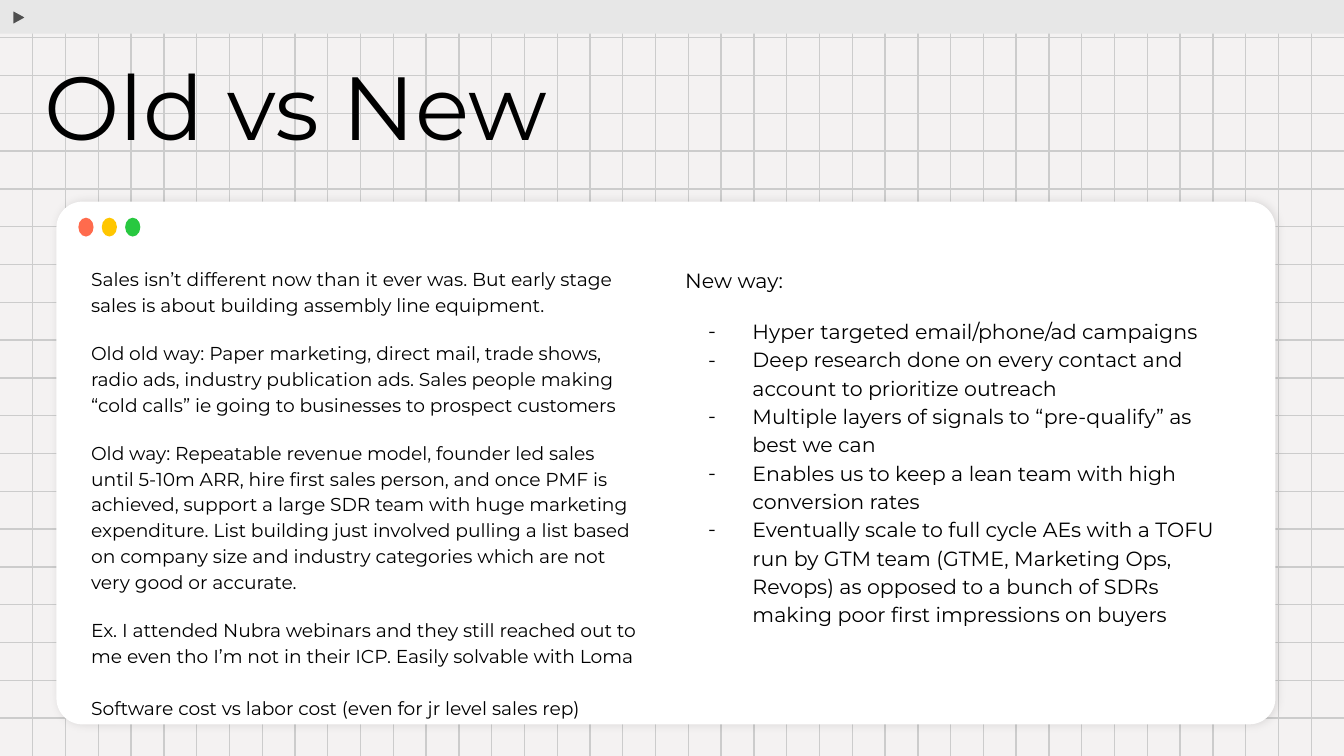
import lxml.etree
import pptx
import pptx.dml.color
import pptx.enum.shapes
import pptx.enum.text
import pptx.oxml.ns
import pptx.util

SHAPE = pptx.enum.shapes.MSO_SHAPE
COLUMNS, ROWS = 41, 20


def rgb(value):
    return pptx.dml.color.RGBColor.from_string(value)


def add_xml(parent, tag, **attrs):
    node = lxml.etree.SubElement(parent, pptx.oxml.ns.qn(tag))
    for name, value in attrs.items():
        node.set(name, str(value))
    return node


class Deck:
    """Style and current slide; positions are in square cells, 100 across the slide."""

    font = "Montserrat"
    ink = "000000"
    paper = "F4F2F2"
    rule = "CCCCCC"
    bar = "E7E7E7"

    def __init__(self, prs):
        self.prs = prs
        self.s = prs.slides.add_slide(prs.slide_layouts[6])
        self.s.background.fill.solid()
        self.s.background.fill.fore_color.rgb = rgb(self.paper)

    def cells(self, *values):
        return [round(v * self.prs.slide_width / 100) for v in values]

    def line(self, x1, y1, x2, y2):
        w, h = self.prs.slide_width, self.prs.slide_height
        ends = [round(v) for v in (x1 * w, y1 * h, x2 * w, y2 * h)]
        c = self.s.shapes.add_connector(pptx.enum.shapes.MSO_CONNECTOR.STRAIGHT, *ends)
        c.line.color.rgb = rgb(self.rule)
        c.line.width = pptx.util.Pt(0.75)
        add_xml(c._element.spPr, "a:effectLst")

    def grid(self):
        for row in range(1, ROWS):
            self.line(0, row / ROWS, 1, row / ROWS)
        for column in range(1, COLUMNS):
            self.line(column / COLUMNS, 0, column / COLUMNS, 1)

    def shape(self, kind, at, fill, line=None):
        sp = self.s.shapes.add_shape(kind, *self.cells(*at))
        sp.shadow.inherit = False
        sp.fill.solid()
        sp.fill.fore_color.rgb = rgb(fill)
        if line:
            sp.line.color.rgb = rgb(line)
            sp.line.width = pptx.util.Pt(0.75)
        else:
            sp.line.fill.background()
        return sp

    def card(self, at):
        sp = self.shape(SHAPE.ROUNDED_RECTANGLE, at, "FFFFFF")
        sp.adjustments[0] = 0.05
        effects = sp._element.spPr.find(pptx.oxml.ns.qn("a:effectLst"))
        shadow = add_xml(effects, "a:outerShdw", blurRad=pptx.util.Pt(4.5),
                         dist=pptx.util.Pt(1.5), dir=0, algn="bl", rotWithShape=0)
        add_xml(add_xml(shadow, "a:srgbClr", val=self.ink), "a:alpha", val=11000)

    def text(self, at, size, paragraphs, spacing=1.15):
        tf = self.s.shapes.add_textbox(*self.cells(*at)).text_frame
        tf.word_wrap = True
        tf.vertical_anchor = pptx.enum.text.MSO_ANCHOR.TOP
        tf.margin_left = tf.margin_right = pptx.util.Inches(0.1)
        tf.margin_top = tf.margin_bottom = pptx.util.Inches(0.1)
        for i, (words, before, bulleted) in enumerate(paragraphs):
            p = tf.add_paragraph() if i else tf.paragraphs[0]
            p.line_spacing = spacing
            p.space_before = pptx.util.Pt(before)
            if bulleted:
                self.bullet(p)
            r = p.add_run()
            r.text = words
            r.font.name = self.font
            r.font.size = pptx.util.Pt(size)
            r.font.color.rgb = rgb(self.ink)

    def bullet(self, p):
        pPr = p._p.get_or_add_pPr()
        pPr.set("marL", str(pptx.util.Inches(0.5)))
        pPr.set("indent", str(pptx.util.Inches(-0.33)))
        add_xml(add_xml(pPr, "a:buClr"), "a:srgbClr", val=self.ink)
        add_xml(pPr, "a:buFont", typeface=self.font)
        add_xml(pPr, "a:buChar", char="-")


OLD_WAY = [
    ("Sales isn’t different now than it ever was. But early stage sales is about "
     "building assembly line equipment.", 12, False),
    ("Old old way: Paper marketing, direct mail, trade shows, radio ads, industry "
     "publication ads. Sales people making “cold calls” ie going to businesses to "
     "prospect customers", 12, False),
    ("Old way: Repeatable revenue model, founder led sales until 5-10m ARR, hire first "
     "sales person, and once PMF is achieved, support a large SDR team with huge "
     "marketing expenditure. List building just involved pulling a list based on "
     "company size and industry categories which are not very good or accurate.",
     12, False),
    ("Ex. I attended Nubra webinars and they still reached out to me even tho I’m not "
     "in their ICP. Easily solvable with Loma", 12, False),
    ("Software cost vs labor cost (even for jr level sales rep)", 14, False),
]
NEW_WAY = [
    ("New way:", 12, False),
    ("Hyper targeted email/phone/ad campaigns", 12, True),
    ("Deep research done on every contact and account to prioritize outreach", 0, True),
    ("Multiple layers of signals to “pre-qualify” as best we can", 0, True),
    ("Enables us to keep a lean team with high conversion rates", 0, True),
    ("Eventually scale to full cycle AEs with a TOFU run by GTM team (GTME, Marketing "
     "Ops, Revops) as opposed to a bunch of SDRs making poor first impressions on "
     "buyers", 0, True),
]


def main():
    prs = pptx.Presentation()
    prs.slide_width = pptx.util.Inches(10)
    prs.slide_height = prs.slide_width * 9 // 16
    deck = Deck(prs)
    deck.grid()
    deck.shape(SHAPE.RECTANGLE, (0, 0, 100, 2.5), deck.bar)
    play = deck.shape(SHAPE.ISOSCELES_TRIANGLE, (0.9, 0.8, 1.1, 1), "4F4F4F", deck.bar)
    play.rotation = 90
    deck.card((4.2, 15, 90.7, 38.9))
    deck.text((5.8, 18.7, 42.9, 41.5), 10, OLD_WAY)
    for i, colour in enumerate(("FF6B4D", "FFC600", "28C840")):
        deck.shape(SHAPE.OVAL, (5.83 + 1.74 * i, 16.2, 1.13, 1.4), colour)
    deck.text((2.3, 3.7, 91.4, 9.3), 48, [("Old vs New", 0, False)], spacing=0.9)
    deck.text((50, 18.7, 42.9, 29), 11, NEW_WAY)
    prs.save("out.pptx")


if __name__ == "__main__":
    main()
